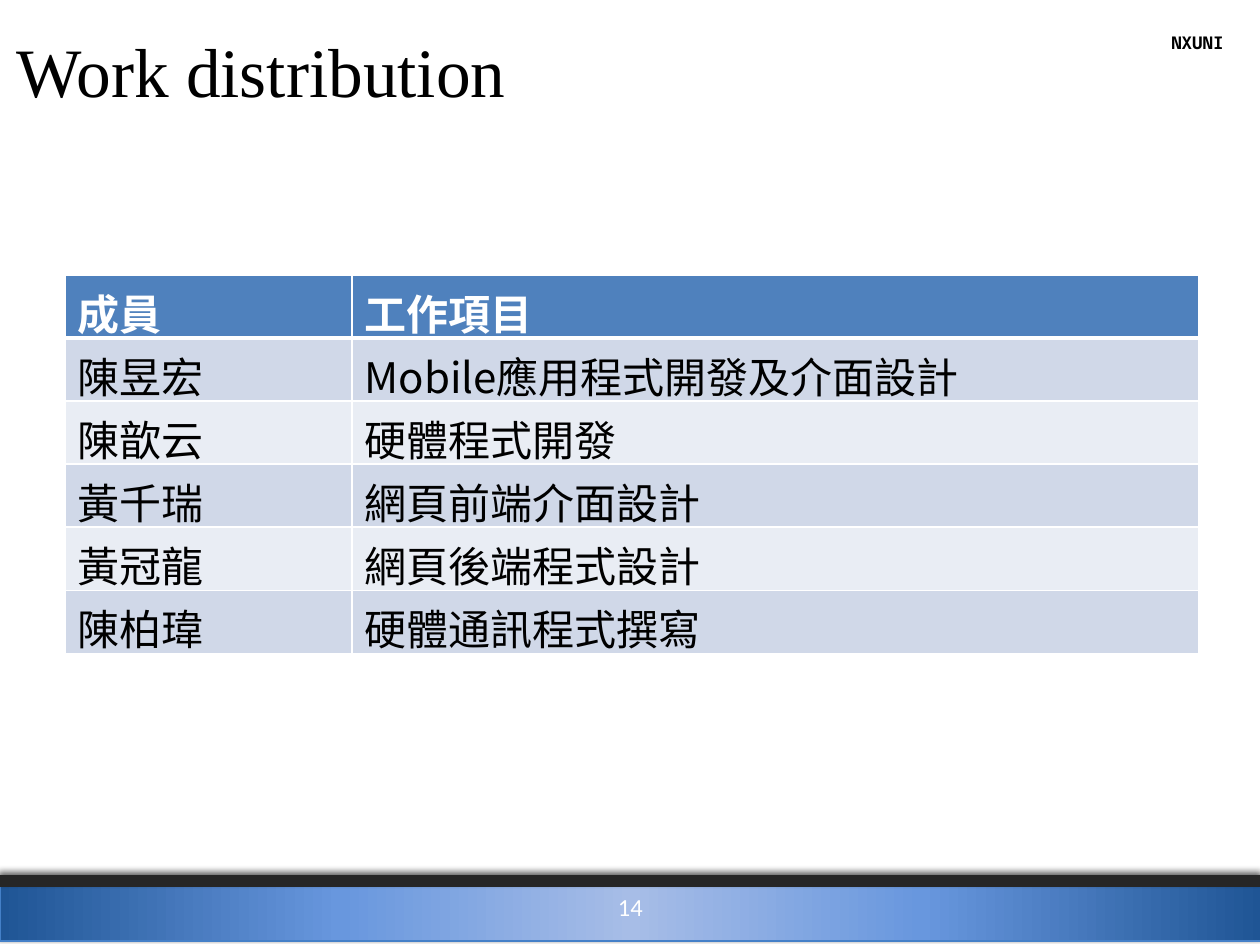
from pptx import Presentation
from pptx.dml.color import RGBColor
from pptx.enum.shapes import MSO_SHAPE as Shape
from pptx.enum.text import MSO_ANCHOR as Anchor, PP_ALIGN as Align
from pptx.oxml import parse_xml
from pptx.oxml.ns import nsdecls
from pptx.util import Pt

SCALE = 914400 / 126
CJK = "Noto Sans CJK SC"
MEMBERS = [
    ("成員", "工作項目"),
    ("陳昱宏", "Mobile應用程式開發及介面設計"),
    ("陳歆云", "硬體程式開發"),
    ("黃千瑞", "網頁前端介面設計"),
    ("黃冠龍", "網頁後端程式設計"),
    ("陳柏瑋", "硬體通訊程式撰寫"),
]
FOOTER_STOPS = [(0, "1F5595"), (27, "6897DE"), (50, "A7BDE7"), (73, "6897DE"), (100, "1F5595")]


def px(length):
    """Turn pixels into EMU."""
    return round(length * SCALE)


def color(value):
    """Turn a hex string into a colour."""
    return RGBColor.from_string(value)


def element(tag, body):
    """Make a DrawingML element from its opening tag and its content."""
    return parse_xml(f"<a:{tag} {nsdecls('a')}>{body}</a:{tag.split()[0]}>")


def solid(value):
    """Give the markup of a solid fill."""
    return f'<a:solidFill><a:srgbClr val="{value}"/></a:solidFill>'


class Page:
    """Holds the style and the slide being drawn."""

    def __init__(self, deck):
        """Add a slide that has only a title."""
        self.slide = deck.slides.add_slide(deck.slide_layouts[5])
        self.shapes = self.slide.shapes

    def set_text(self, frame, text, size, font, ink="000000", bold=False, align=Align.LEFT):
        """Set and format one paragraph of text."""
        frame.text = text
        para = frame.paragraphs[0]
        para.alignment = align
        for span in para.runs:
            span.font.size = Pt(size)
            span.font.name = font
            span.font.bold = bold
            span.font.color.rgb = color(ink)
            span._r.get_or_add_rPr().append(element(f'ea typeface="{font}"', ""))

    def title(self, text, left, top, width, height):
        """Move and fill the title placeholder."""
        box = self.shapes.title
        box.left, box.top, box.width, box.height = map(px, (left, top, width, height))
        box.text_frame.vertical_anchor = Anchor.MIDDLE
        self.set_text(box.text_frame, text, 39.6, "Times New Roman")

    def label(self, text, left, top, width, height, size, font, anchor=Anchor.TOP, **style):
        """Add a centred text box."""
        box = self.shapes.add_textbox(*map(px, (left, top, width, height)))
        box.text_frame.word_wrap = True
        box.text_frame.vertical_anchor = anchor
        self.set_text(box.text_frame, text, size, font, align=Align.CENTER, **style)

    def bar(self, left, top, width, height, fill, line, stops=()):
        """Add a shadowed bar, with a gradient when stops are given."""
        box = self.shapes.add_shape(Shape.RECTANGLE, *map(px, (left, top, width, height)))
        box.fill.solid()
        box.fill.fore_color.rgb = color(fill)
        box.line.color.rgb = color(line)
        box.line.width = Pt(0.75)
        box.shadow.inherit = False
        properties = box._element.spPr
        properties.remove(properties.find("{*}effectLst"))
        properties.append(element("effectLst", (
            f'<a:outerShdw blurRad="{Pt(4)}" dist="{Pt(3)}" dir="14700000" rotWithShape="0">'
            '<a:srgbClr val="000000"><a:alpha val="60000"/></a:srgbClr></a:outerShdw>')))
        if stops:
            marks = "".join(f'<a:gs pos="{at * 1000}"><a:srgbClr val="{ink}"/></a:gs>' for at, ink in stops)
            gradient = element("gradFill", f'<a:gsLst>{marks}</a:gsLst><a:lin ang="0" scaled="0"/>')
            properties.replace(properties.find("{*}solidFill"), gradient)

    def borders(self, cell, top, bottom):
        """Draw white borders around a cell."""
        properties = cell._tc.get_or_add_tcPr()
        sides = {"lnL": 1, "lnR": 1, "lnT": top, "lnB": bottom}
        for place, (side, width) in enumerate(sides.items()):
            properties.insert(place, element(f'{side} w="{Pt(width)}"', solid("FFFFFF")))

    def table(self, rows, left, top, widths, row_height):
        """Add a banded table with a header row."""
        area = map(px, (left, top, sum(widths), row_height * len(rows)))
        table = self.shapes.add_table(len(rows), len(widths), *area).table
        for column, width in zip(table.columns, widths):
            column.width = px(width)
        for index, texts in enumerate(rows):
            table.rows[index].height = px(row_height)
            header = index == 0
            fill = "4F81BD" if header else ("E9EDF4", "D0D8E8")[index % 2]
            for cell, text in zip(table.rows[index].cells, texts):
                ink = "FFFFFF" if header else "000000"
                self.set_text(cell.text_frame, text, 24, CJK, ink, header)
                cell.fill.solid()
                cell.fill.fore_color.rgb = color(fill)
                self.borders(cell, 3 if index == 1 else 1, 3 if header else 1)


def main():
    """Build the work distribution slide."""
    deck = Presentation()
    deck.slide_width, deck.slide_height = px(1260), px(945)
    page = Page(deck)
    page.bar(0, 886, 1262, 55, "6897DE", "4480C8", FOOTER_STOPS)
    page.bar(0, 876, 1262, 10, "262626", "262626")
    page.label("14", 580, 880, 101, 54, 14, "Calibri", Anchor.MIDDLE, ink="FFFFFF")
    page.label("NXUNI", 1152, 26, 91, 55, 10, "Noto Sans Mono", bold=True)
    page.table(MEMBERS, 65, 275, (287, 847), 63)
    page.title("Work distribution", 4, 26, 934, 87)
    deck.save("out.pptx")


if __name__ == "__main__":
    main()
